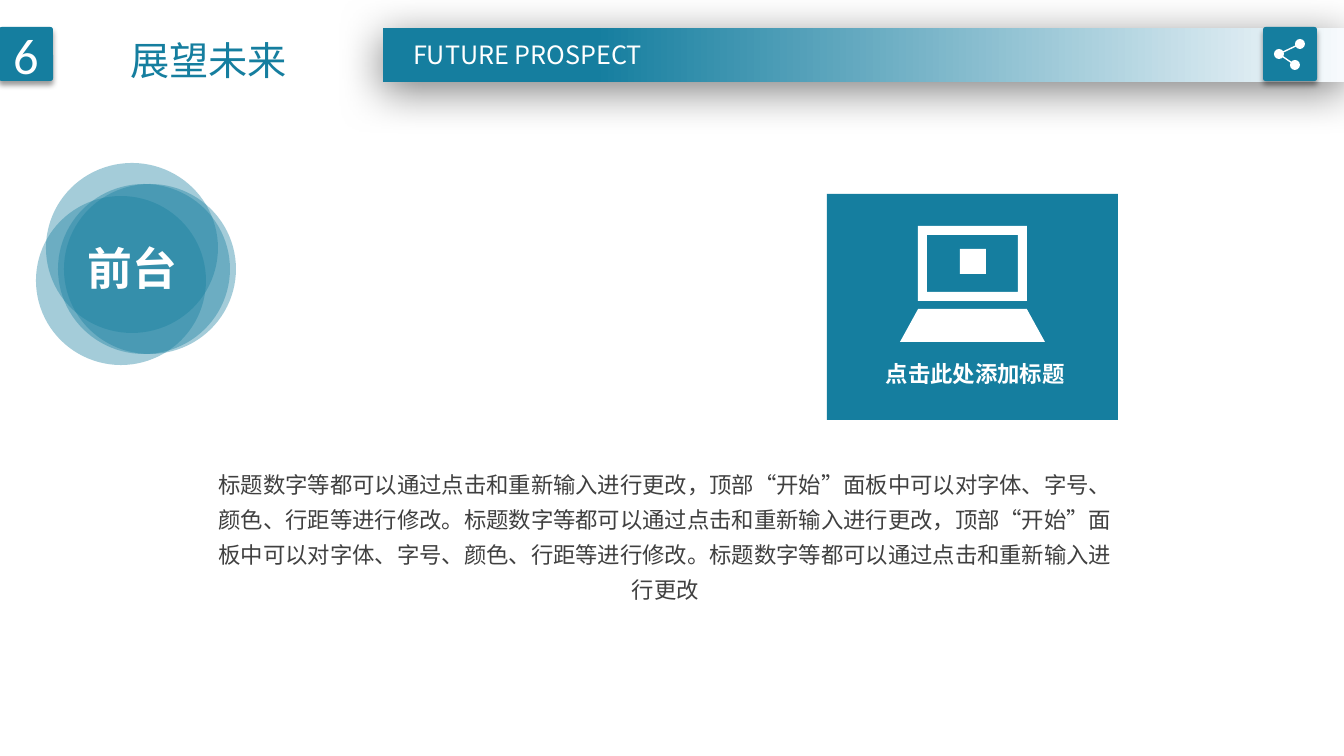
from lxml import etree
from pptx import Presentation
from pptx.dml.color import RGBColor
from pptx.enum.shapes import MSO_CONNECTOR, MSO_SHAPE as Kind
from pptx.enum.text import MSO_ANCHOR as Anchor, MSO_AUTO_SIZE as Auto, PP_ALIGN as Align
from pptx.oxml.ns import qn
from pptx.util import Pt

TEAL = RGBColor(0x15, 0x7E, 0x9F)
PALE = RGBColor(0xF7, 0xFA, 0xFD)
WHITE = RGBColor(0xFF, 0xFF, 0xFF)
GRAY = RGBColor(0x40, 0x40, 0x40)
SANS = "Noto Sans CJK SC"
EMU = 9071.43  # per px

TITLE = "展望未来"
BODY = ("标题数字等都可以通过点击和重新输入进行更改，顶部“开始”面板中可以对字体、字号、颜色、行距等进行修改。"
        "标题数字等都可以通过点击和重新输入进行更改，顶部“开始”面板中可以对字体、字号、颜色、行距等进行修改。"
        "标题数字等都可以通过点击和重新输入进行更改")

# text, box, size, colour, bold, alignment, line spacing, wrap
TEXTS = [
    ("点击此处添加标题", (876, 355, 201, 37), 16, WHITE, True, Align.LEFT, 1, True),
    (BODY, (207, 458, 917, 148), 16, GRAY, False, Align.CENTER, 1.3, True),
    ("FUTURE PROSPECT", (401, 34, 253, 40), 18, WHITE, False, Align.CENTER, 1, False),
    ("前台", (73, 220, 119, 81), 32, WHITE, True, Align.CENTER, 1.3, True),
]
CIRCLES = [(36, 196, 170, 169), (46, 163, 172, 170),
           (58, 184, 172, 170), (64, 184, 172, 170)]
# kind, box, colour, adjustment
LAPTOP = [
    (Kind.RECTANGLE, (827, 194, 291, 226), TEAL, None),
    (Kind.TRAPEZOID, (900, 309, 145, 33), WHITE, 0.55),
    (Kind.FRAME, (918, 226, 109, 75), WHITE, 0.12),
    (Kind.RECTANGLE, (960, 249, 26, 25), WHITE, None),
]
BAR = (383, 28, 961, 54)
TILES = [(-1, 27, 54, 54), (1263, 27, 54, 54)]
HUB, *ENDS = [(1279, 54), (1300, 44), (1295, 65)]
DOT = 10

deck = Presentation()


def px(*nums):
    return [round(n * EMU) for n in nums]


deck.slide_width, deck.slide_height = px(1344, 756)
slide = deck.slides.add_slide(deck.slide_layouts[5])
shapes = slide.shapes


def add(kind, box, color, adj=None):
    shape = shapes.add_shape(kind, *px(*box))
    shape.shadow.inherit = False
    shape.fill.solid()
    shape.fill.fore_color.rgb = color
    shape.line.fill.background()
    if adj is not None:
        shape.adjustments[0] = adj
    return shape


def cast(shape, alpha, blur, dist, angle):
    """Give the shape a soft black shadow; blur and dist in points."""
    effects = shape._element.spPr.find(qn("a:effectLst"))
    outer = etree.SubElement(effects, qn("a:outerShdw"), blurRad=str(Pt(blur)),
                             dist=str(Pt(dist)), dir=str(angle * 60000),
                             algn="ctr", rotWithShape="0")
    black = etree.SubElement(outer, qn("a:srgbClr"), val="000000")
    etree.SubElement(black, qn("a:alpha"), val=str(alpha * 1000))


def write(shape, text, size, color, bold=False, align=Align.CENTER,
          gap=1, wrap=True, face=SANS):
    frame = shape.text_frame
    frame.text = text
    frame.auto_size = Auto.NONE
    frame.word_wrap = wrap
    para = frame.paragraphs[0]
    para.alignment, para.line_spacing = align, gap
    run = para.runs[0]
    font = run.font
    font.name, font.size, font.bold = face, Pt(size), bold
    font.color.rgb = color
    latin = run._r.rPr.find(qn("a:latin"))
    latin.addnext(latin.makeelement(qn("a:ea"), {"typeface": face}))


for part in LAPTOP:
    add(*part)

bar = add(Kind.RECTANGLE, BAR, TEAL)
bar.fill.gradient()
bar.fill.gradient_angle = 180
for stop, spot, color in zip(bar.fill.gradient_stops, (0, 0.78), (PALE, TEAL)):
    stop.position, stop.color.rgb = spot, color
cast(bar, 50, 31, 6, 97)

tiles = [add(Kind.ROUNDED_RECTANGLE, box, TEAL, 0.05) for box in TILES]
for tile in tiles:
    cast(tile, 40, 4, 3, 90)
write(tiles[0], "6", 36, WHITE, face="Calibri")
tiles[0].text_frame.vertical_anchor = Anchor.MIDDLE

for end in ENDS:
    link = shapes.add_connector(MSO_CONNECTOR.STRAIGHT, *px(*HUB, *end))
    link.line.color.rgb = WHITE
    link.line.width = Pt(1)
    etree.SubElement(link._element.spPr, qn("a:effectLst"))
for x, y in [HUB, *ENDS]:
    add(Kind.OVAL, (x - DOT / 2, y - DOT / 2, DOT, DOT), WHITE)

for box in CIRCLES:
    disc = add(Kind.OVAL, box, TEAL)
    tint = disc._element.spPr.find(qn("a:solidFill"))[0]
    etree.SubElement(tint, qn("a:alpha"), val="39000")

title = shapes.title
title.left, title.top, title.width, title.height = px(120, 8, 180, 74)
write(title, TITLE, 28, TEAL, align=Align.LEFT, gap=1.5, wrap=False)
title.text_frame.vertical_anchor = Anchor.TOP

for text, box, *style in TEXTS:
    write(shapes.add_textbox(*px(*box)), text, *style)

deck.save("out.pptx")
